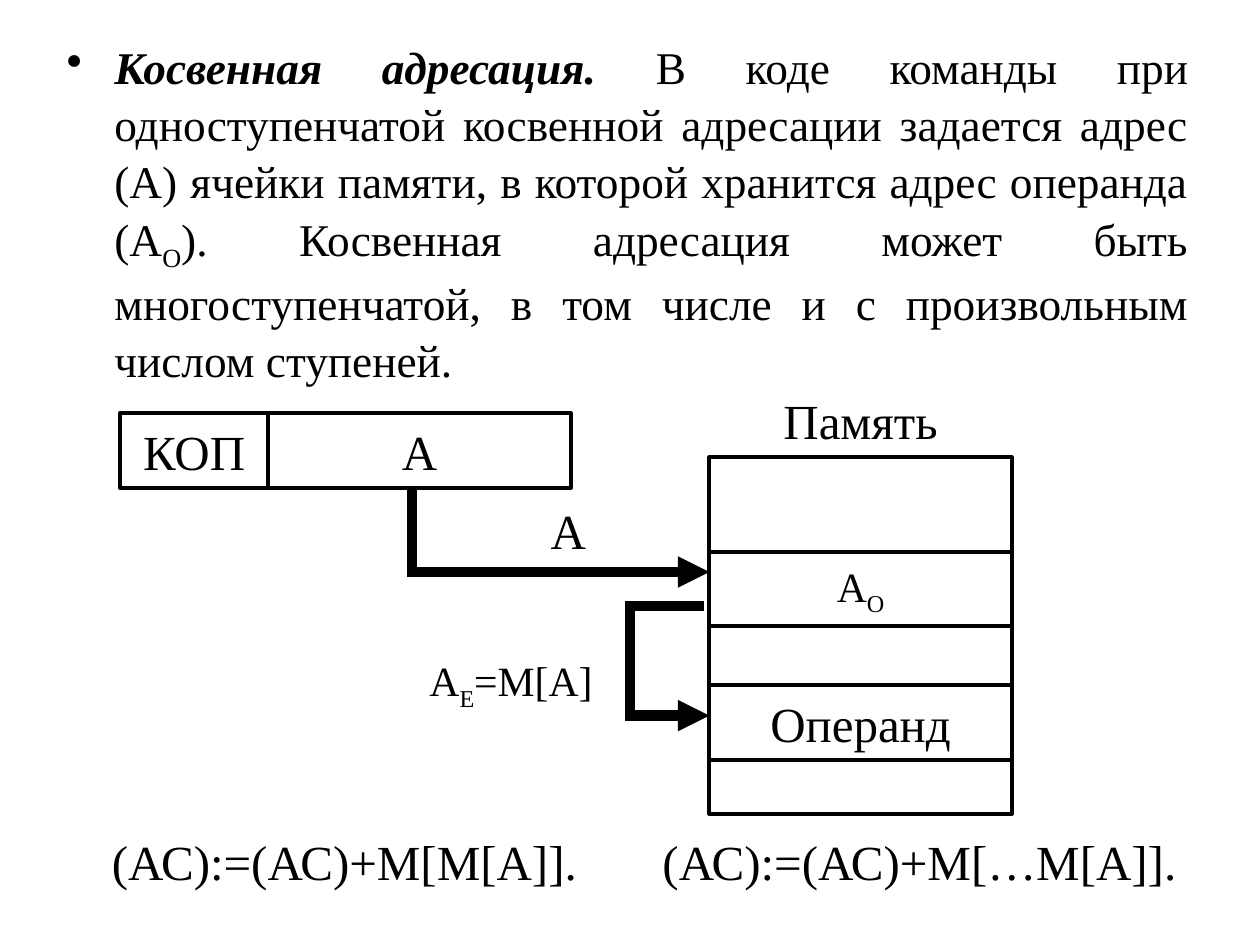
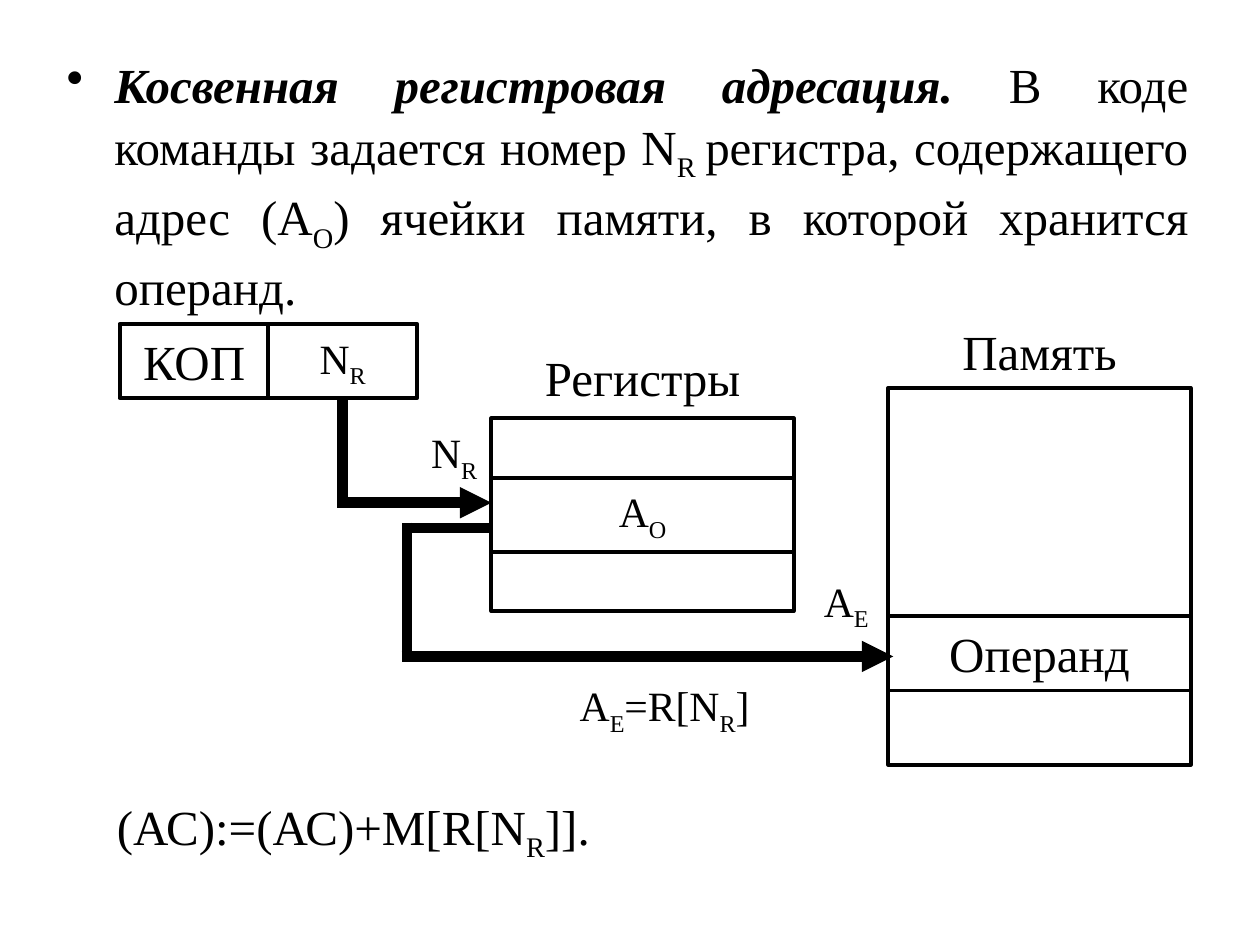
from pptx import Presentation
from pptx.dml.color import RGBColor
from pptx.enum.shapes import MSO_CONNECTOR, MSO_SHAPE
from pptx.enum.text import MSO_ANCHOR, PP_ALIGN
from pptx.oxml.ns import qn
from pptx.util import Inches, Pt
from lxml import etree

RECT, STRAIGHT = MSO_SHAPE.RECTANGLE, MSO_CONNECTOR.STRAIGHT
TOP, MIDDLE = MSO_ANCHOR.TOP, MSO_ANCHOR.MIDDLE
LEFT, CENTER, JUSTIFY = PP_ALIGN.LEFT, PP_ALIGN.CENTER, PP_ALIGN.JUSTIFY

# Shared style, lengths in inches and sizes in points
SLIDE_W, SLIDE_H = 10, 7.5
FONT, INK = "Times New Roman", "000000"
SIZE, INDEXED_SIZE = 28, 23.8
CELL_LINE, ROUTE_LINE = 2.25, 6
CELL_H, SLIM_H = 0.59, 0.47
STACK_W, OPCODE_W = 2.4, 1.18
COMMAND_X = 0.95
BODY_X, BODY_W = 0.43, 9.1
BULLET_INDENT = 0.38
BODY_SPACING = 1.05

# Content: underscores enclose subscripts
# stacks: caption, left, top, caption gap, rows of (text, height)
# labels: text, left, top, width; formulas: text, left, top, width, height
# routes: points, text of the command field the route starts from
SLIDES = [
    {
        "lead": "Косвенная адресация.",
        "body": " В коде команды при одноступенчатой косвенной адресации "
                "задается адрес (А) ячейки памяти, в которой хранится адрес "
                "операнда (А_О_). Косвенная адресация может быть "
                "многоступенчатой, в том числе и с произвольным числом ступеней.",
        "body_place": (0.24, 2.84, 25.9),
        "command": (3.28, [("КОП", OPCODE_W), ("А", STACK_W)]),
        "stacks": [
            ("Память", 5.63, 3.63, 0,
             [("", 0.75), ("А_О_", CELL_H), ("", SLIM_H),
              ("Операнд", CELL_H), ("", 0.43)]),
        ],
        "labels": [("А", 3.31, 3.91, STACK_W), ("А_Е_=М[А]", 3.15, 5.13, 1.81)],
        "formulas": [("(АС):=(АС)+М[М[А]].", 0.79, 6.55, 3.98, 0.57),
                     ("(АС):=(АС)+М[…М[А]].", 5.16, 6.55, 4.37, 0.57)],
        "routes": [
            ([(3.27, 3.87), (3.27, 4.54), (5.63, 4.54)], None),
            ([(5.59, 4.81), (5, 4.81), (5, 5.68), (5.63, 5.68)], None),
        ],
    },
    {
        "lead": "Косвенная регистровая адресация.",
        "body": " В коде команды задается номер N_R _регистра, содержащего "
                "адрес (А_О_) ячейки памяти, в которой хранится операнд.",
        "body_place": (0.36, 2.13, SIZE),
        "command": (2.57, [("КОП", OPCODE_W), ("N_R_", OPCODE_W)]),
        "stacks": [
            ("Память", 7.05, 3.08, 0,
             [("", 1.81), ("Операнд", CELL_H), ("", CELL_H)]),
            ("Регистры", 3.9, 3.32, 0.03,
             [("", SLIM_H), ("А_О_", CELL_H), ("", SLIM_H)]),
        ],
        "labels": [("N_R_", 3.23, 3.32, 0.75), ("А_Е_", 6.34, 4.5, 0.75),
                   ("А_Е_=R[N_R_]", 4.29, 5.33, 1.97)],
        "formulas": [("(АС):=(АС)+М[R[N_R_]].", 0.83, 6.27, 5.91, 0.63)],
        "routes": [
            ([(2.72, 3.16), (2.72, 3.99), (3.9, 3.99)], "N_R_"),
            ([(3.9, 4.19), (3.23, 4.19), (3.23, 5.21), (7.09, 5.21)], None),
        ],
    },
]


def color(hex_value):
    return RGBColor.from_string(hex_value)


def write(shape, text, size=None, align=CENTER, anchor=MIDDLE, lead="",
          bullet=False, spacing=None):
    """Fill a shape with one paragraph; text between underscores is subscript."""
    frame = shape.text_frame
    frame.word_wrap = True
    frame.vertical_anchor = anchor
    paragraph = frame.paragraphs[0]
    paragraph.alignment = align
    if spacing:
        paragraph.line_spacing = spacing
    if bullet:
        props = paragraph._p.get_or_add_pPr()
        props.set("marL", str(Inches(BULLET_INDENT)))
        props.set("indent", str(-Inches(BULLET_INDENT)))
        etree.SubElement(props, qn("a:buChar")).set("char", "•")
    size = size or (INDEXED_SIZE if "_" in text else SIZE)
    parts = [(lead, True, False)]
    parts += [(part, False, i % 2 == 1) for i, part in enumerate(text.split("_"))]
    for part, strong, subscript in parts:
        if not part:
            continue
        run = paragraph.add_run()
        run.text = part
        font = run.font
        font.name, font.size = FONT, Pt(size)
        font.bold = font.italic = strong
        font.color.rgb = color(INK)
        if subscript:
            run._r.get_or_add_rPr().set("baseline", "-25000")


def text_box(slide, text, x, y, w, h, **style):
    box = slide.shapes.add_textbox(*map(Inches, (x, y, w, h)))
    write(box, text, **style)


def cell(slide, text, x, y, w, h):
    box = slide.shapes.add_shape(RECT, *map(Inches, (x, y, w, h)))
    box.shadow.inherit = False
    box.fill.background()
    box.line.color.rgb = color(INK)
    box.line.width = Pt(CELL_LINE)
    if text:
        write(box, text)
    return box


def route(slide, points, source):
    """Draw a thick bent arrow, closing each corner by half the line width."""
    half = ROUTE_LINE / 72 / 2
    last = len(points) - 2
    for i, ((x1, y1), (x2, y2)) in enumerate(zip(points, points[1:])):
        if i:
            x1 += half * ((x1 > x2) - (x1 < x2))
            y1 += half * ((y1 > y2) - (y1 < y2))
        segment = slide.shapes.add_connector(
            STRAIGHT, *map(Inches, (x1, y1, x2, y2)))
        segment.line.color.rgb = color(INK)
        segment.line.width = Pt(ROUTE_LINE)
        if i == last:
            etree.SubElement(segment.line._get_or_add_ln(),
                             qn("a:tailEnd")).set("type", "triangle")
        etree.SubElement(segment._element.spPr, qn("a:effectLst"))
        if i == 0 and source is not None:
            segment.begin_connect(source, 2)


def build(slide, content):
    # Definition
    top, height, size = content["body_place"]
    text_box(slide, content["body"], BODY_X, top, BODY_W, height, size=size,
             lead=content["lead"], align=JUSTIFY, anchor=TOP, bullet=True,
             spacing=BODY_SPACING)

    # Command word, fields side by side
    y, fields = content["command"]
    x, command_cells = COMMAND_X, {}
    for text, width in fields:
        command_cells[text] = cell(slide, text, x, y, width, CELL_H)
        x += width

    # Memory and registers, rows stacked under a caption
    for caption, x, y, gap, rows in content["stacks"]:
        text_box(slide, caption, x, y - CELL_H - gap, STACK_W, CELL_H)
        for text, height in rows:
            cell(slide, text, x, y, STACK_W, height)
            y += height

    # Address routes, their labels and the formulas
    for points, source in content["routes"]:
        route(slide, points, command_cells.get(source))
    for text, x, y, width in content["labels"]:
        text_box(slide, text, x, y, width, CELL_H)
    for text, x, y, width, height in content["formulas"]:
        text_box(slide, text, x, y, width, height, size=SIZE, align=LEFT)


def main():
    deck = Presentation()
    deck.slide_width, deck.slide_height = Inches(SLIDE_W), Inches(SLIDE_H)
    blank = deck.slide_layouts[6]
    for content in SLIDES:
        build(deck.slides.add_slide(blank), content)
    deck.save("out.pptx")


if __name__ == "__main__":
    main()
